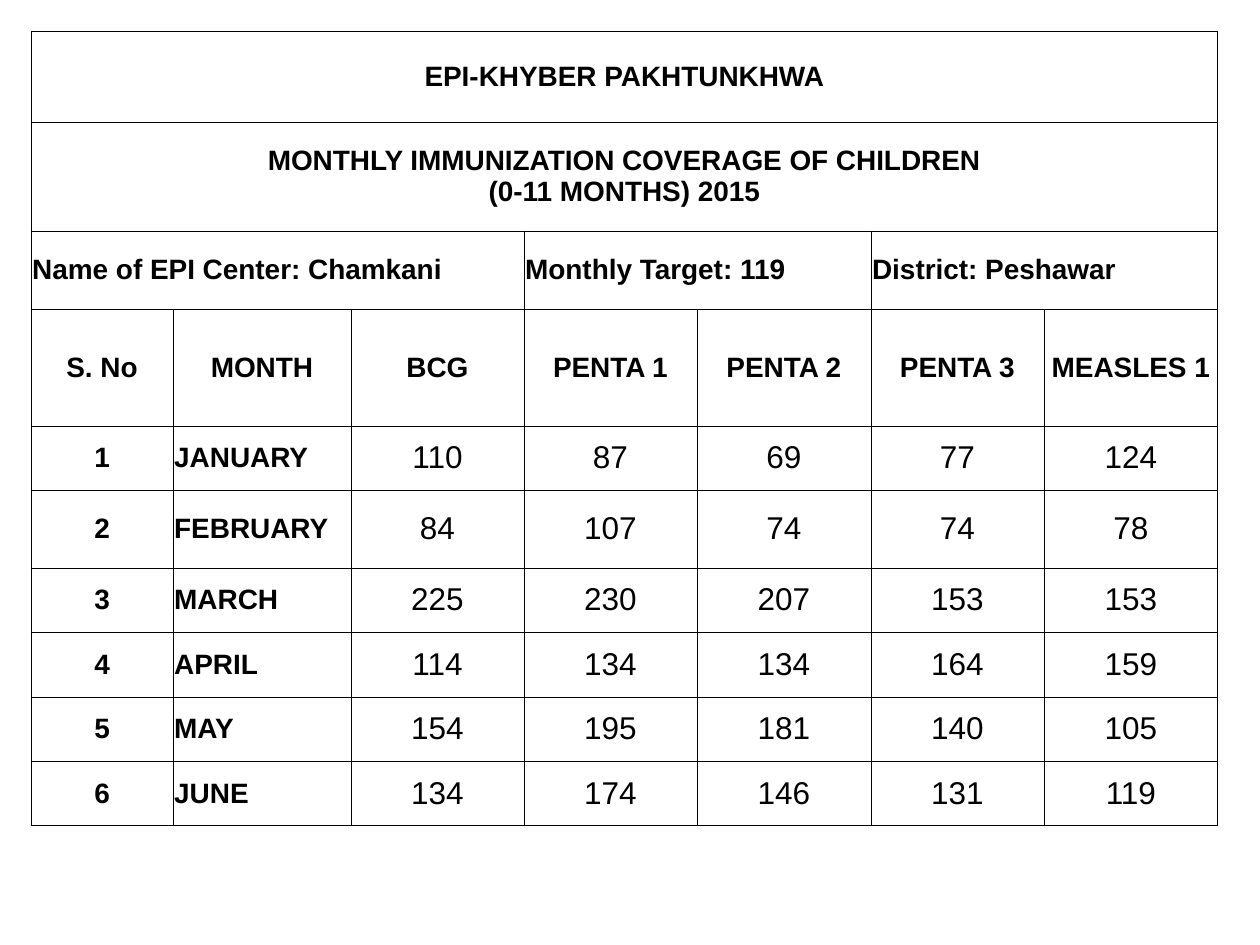
from dataclasses import dataclass

from lxml.etree import SubElement
from pptx import Presentation
from pptx.dml.color import RGBColor
from pptx.enum.text import MSO_ANCHOR, PP_ALIGN
from pptx.oxml.ns import qn
from pptx.table import Table, _Cell as Cell
from pptx.util import Emu, Inches, Pt

PX_PER_INCH = 126
BLACK = RGBColor(0x00, 0x00, 0x00)
FONT = "Arial"
BORDER = Pt(0.45)

TABLE_LEFT, TABLE_TOP = 31, 31
COL_WIDTHS = [142, 178, 173, 173, 174, 173, 174]
ROW_HEIGHTS = [91, 109, 78, 117, 64, 78, 64, 65, 64, 65]


@dataclass(frozen=True)
class Style:
    size: int
    bold: bool
    align: PP_ALIGN


@dataclass(frozen=True)
class Band:
    """A heading cell that spans several columns."""
    row: int
    col: int
    span: int
    text: str
    style: Style


@dataclass(frozen=True)
class MonthRow:
    month: str
    counts: tuple[int, ...]


HEADING = Style(16, True, PP_ALIGN.CENTER)
LABEL = Style(16, True, PP_ALIGN.LEFT)
COUNT = Style(18, False, PP_ALIGN.CENTER)

BANDS = [
    Band(0, 0, 7, "EPI-KHYBER PAKHTUNKHWA", HEADING),
    Band(1, 0, 7, "MONTHLY IMMUNIZATION COVERAGE OF CHILDREN\v(0-11 MONTHS) 2015", HEADING),
    Band(2, 0, 3, "Name of EPI Center: Chamkani", LABEL),
    Band(2, 3, 2, "Monthly Target: 119", LABEL),
    Band(2, 5, 2, "District: Peshawar", LABEL),
]
HEADER_ROW = 3
HEADERS = ["S. No", "MONTH", "BCG", "PENTA 1", "PENTA 2", "PENTA 3", "MEASLES 1"]
MONTHS = [
    MonthRow("JANUARY", (110, 87, 69, 77, 124)),
    MonthRow("FEBRUARY", (84, 107, 74, 74, 78)),
    MonthRow("MARCH", (225, 230, 207, 153, 153)),
    MonthRow("APRIL", (114, 134, 134, 164, 159)),
    MonthRow("MAY", (154, 195, 181, 140, 105)),
    MonthRow("JUNE", (134, 174, 146, 131, 119)),
]


def px(n: int) -> Emu:
    return Emu(round(n * Inches(1) / PX_PER_INCH))


def format_cell(cell: Cell) -> None:
    """Set margins, anchor, the four borders and an empty fill."""
    cell.margin_left = cell.margin_right = Inches(0.01)
    cell.margin_top = cell.margin_bottom = Inches(0.05)
    cell.vertical_anchor = MSO_ANCHOR.MIDDLE
    tc_pr = cell._tc.get_or_add_tcPr()
    for side in ("lnL", "lnR", "lnT", "lnB"):
        ln = SubElement(tc_pr, qn(f"a:{side}"), w=str(BORDER))
        fill = SubElement(ln, qn("a:solidFill"))
        SubElement(fill, qn("a:srgbClr"), val=str(BLACK))
    cell.fill.background()


def write_cell(cell: Cell, text: str, style: Style) -> None:
    p = cell.text_frame.paragraphs[0]
    p.text = text
    p.alignment = style.align
    p.font.name = FONT
    p.font.size = Pt(style.size)
    p.font.bold = style.bold
    p.font.color.rgb = BLACK


def add_grid(slide) -> Table:
    frame = slide.shapes.add_table(
        len(ROW_HEIGHTS), len(COL_WIDTHS), px(TABLE_LEFT), px(TABLE_TOP),
        px(sum(COL_WIDTHS)), px(sum(ROW_HEIGHTS)))
    table = frame.table
    table.first_row = table.horz_banding = False
    for column, width in zip(table.columns, COL_WIDTHS):
        column.width = px(width)
    for row, height in zip(table.rows, ROW_HEIGHTS):
        row.height = px(height)
    for cell in table.iter_cells():
        format_cell(cell)
    return table


def fill_table(table: Table) -> None:
    for band in BANDS:
        cell = table.cell(band.row, band.col)
        cell.merge(table.cell(band.row, band.col + band.span - 1))
        write_cell(cell, band.text, band.style)
    for col, header in enumerate(HEADERS):
        write_cell(table.cell(HEADER_ROW, col), header, HEADING)
    for number, record in enumerate(MONTHS, start=1):
        row = HEADER_ROW + number
        write_cell(table.cell(row, 0), str(number), HEADING)
        write_cell(table.cell(row, 1), record.month, LABEL)
        for col, count in enumerate(record.counts, start=2):
            write_cell(table.cell(row, col), str(count), COUNT)


def main() -> None:
    prs = Presentation()
    prs.slide_width, prs.slide_height = px(1260), px(945)
    slide = prs.slides.add_slide(prs.slide_layouts[6])
    fill_table(add_grid(slide))
    prs.save("out.pptx")


if __name__ == "__main__":
    main()
